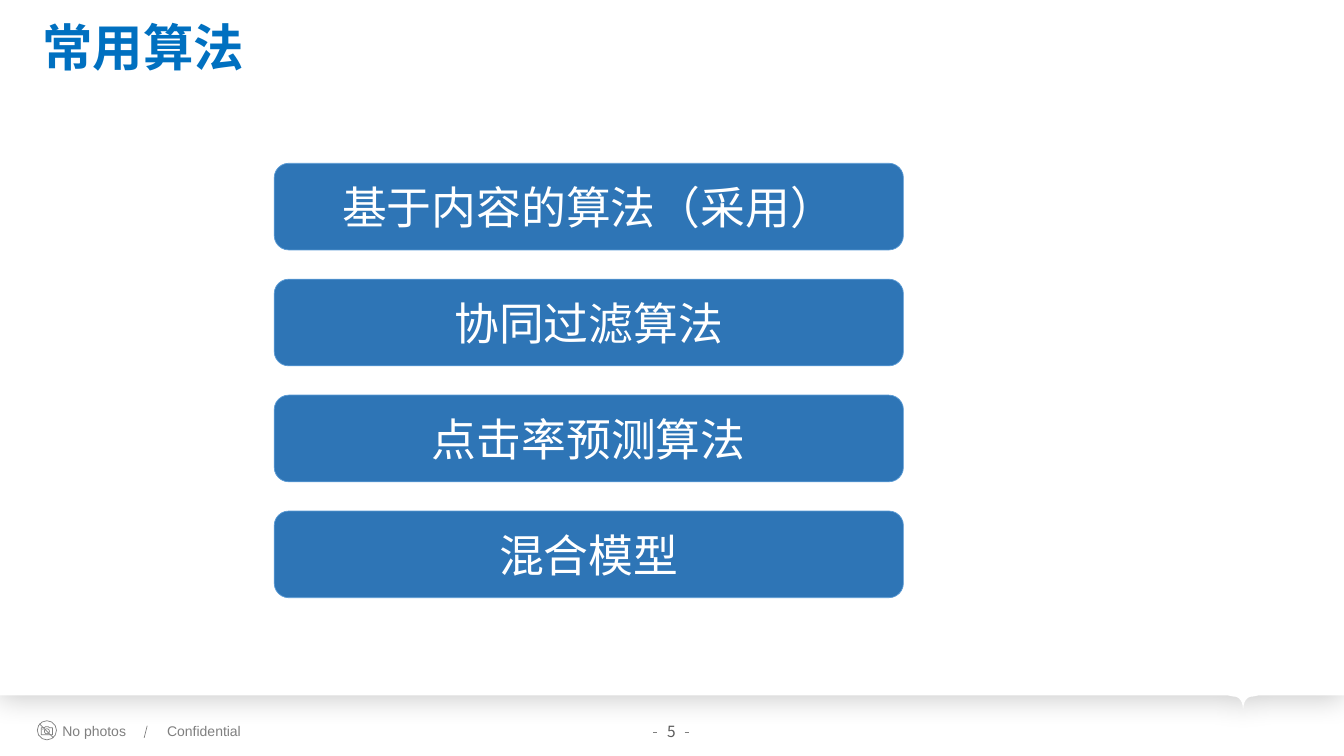
"""Build the slide listing the common recommendation algorithms."""
from lxml import etree
from pptx import Presentation
from pptx.dml.color import RGBColor
from pptx.enum.shapes import MSO_CONNECTOR, MSO_SHAPE
from pptx.enum.text import MSO_ANCHOR, MSO_AUTO_SIZE, PP_ALIGN
from pptx.oxml.ns import qn
from pptx.util import Pt

PX = 9144
CJK_FONT = "Noto Sans CJK SC"
GRAY = "7F7F7F"
STRAIGHT = MSO_CONNECTOR.STRAIGHT
ELLIPSE = MSO_SHAPE.OVAL
BOX = MSO_SHAPE.FLOWCHART_ALTERNATE_PROCESS
LEFT, CENTER = PP_ALIGN.LEFT, PP_ALIGN.CENTER
TOP, MIDDLE = MSO_ANCHOR.TOP, MSO_ANCHOR.MIDDLE
NO_AUTOFIT = MSO_AUTO_SIZE.NONE


def write(shape, text, size, color, font=CJK_FONT, bold=False, align=LEFT,
          anchor=TOP, wrap=True):
    frame = shape.text_frame
    frame.auto_size = NO_AUTOFIT
    frame.word_wrap = wrap
    frame.vertical_anchor = anchor
    paragraph = frame.paragraphs[0]
    paragraph.alignment = align
    run = paragraph.add_run()
    run.text = text
    run.font.size = Pt(size)
    run.font.bold = bold
    run.font.name = font
    run.font.color.rgb = RGBColor.from_string(color)
    east_asian = etree.SubElement(run.font._element, qn("a:ea"))
    east_asian.set("typeface", font)


def paint(shape, fill=None, line=None):
    shape.shadow.inherit = False
    if fill:
        shape.fill.solid()
        shape.fill.fore_color.rgb = RGBColor.from_string(fill)
    else:
        shape.fill.background()
    if line:
        shape.line.color.rgb = RGBColor.from_string(line)
        shape.line.width = Pt(0.5)
    else:
        shape.line.fill.background()


presentation = Presentation()
presentation.slide_width = 1333 * PX
presentation.slide_height = 750 * PX
slide = presentation.slides.add_slide(presentation.slide_layouts[5])
shapes = slide.shapes

steps = [step / 8 for step in range(9)]
right_curve = [(1233 + 10 * (1 - t) ** 2, 691 + 15 * t ** 2) for t in steps]
left_curve = [(2466 - x, y) for x, y in reversed(right_curve)]
panel_points = [(1333, 0), (1333, 690), (1248, 690), *right_curve, *left_curve,
                (1218, 690), (0, 690)]
builder = shapes.build_freeform(0, 0, scale=1.0)
builder.add_line_segments([(x * PX, y * PX) for x, y in panel_points])
panel = builder.convert_to_shape()
paint(panel, fill="FFFFFF")
effects = panel._element.spPr.find(qn("a:effectLst"))
shadow = etree.SubElement(effects, qn("a:outerShdw"), blurRad=str(Pt(20)),
                          dist=str(Pt(3)), dir="5400000", algn="t", rotWithShape="0")
shadow_color = etree.SubElement(shadow, qn("a:srgbClr"), val="000000")
etree.SubElement(shadow_color, qn("a:alpha"), val="20000")

title = shapes.title
panel._element.addnext(title._element)
title.left, title.top, title.width, title.height = 32 * PX, 23 * PX, 473 * PX, 36 * PX
write(title, "常用算法", 36, "0070C0", bold=True)
title.text_frame.margin_top = title.text_frame.margin_bottom = 0
title.text_frame.paragraphs[0].line_spacing = 0.9

camera_builder = shapes.build_freeform(41, 722, scale=PX)
camera_builder.add_line_segments([(44, 722), (45, 721), (48, 721), (49, 722),
                                  (52, 722), (52, 729), (41, 729)])
paint(camera_builder.convert_to_shape(), line=GRAY)

for left, top, size, fill, line in [(37, 715, 19, None, GRAY),
                                    (44, 723, 5, None, GRAY),
                                    (42, 723, 1, GRAY, None)]:
    circle = shapes.add_shape(ELLIPSE, left * PX, top * PX, size * PX, size * PX)
    paint(circle, fill=fill, line=line)

for x1, y1, x2, y2 in [(39, 718, 53, 732), (146, 720, 143, 732),
                       (679, 727, 683, 727), (648, 727, 652, 727)]:
    connector = shapes.add_connector(STRAIGHT, x1 * PX, y1 * PX, x2 * PX, y2 * PX)
    connector.line.color.rgb = RGBColor.from_string(GRAY)
    connector.line.width = Pt(0.5)
    etree.SubElement(connector._element.spPr, qn("a:effectLst"))

for label, left, width in [("No photos", 52, 88), ("Confidential", 156, 94)]:
    footer = shapes.add_textbox(left * PX, 712 * PX, width * PX, 27 * PX)
    write(footer, label, 10, GRAY, font="Arial", wrap=False)

page_number = shapes.add_textbox(632 * PX, 711 * PX, 68 * PX, 29 * PX)
write(page_number, "5", 11, "5A5A5A", align=CENTER)

algorithms = ["基于内容的算法（采用）", "协同过滤算法", "点击率预测算法", "混合模型"]
for row, algorithm in enumerate(algorithms):
    box = shapes.add_shape(BOX, 272 * PX, (162 + 115 * row) * PX, 624 * PX, 86 * PX)
    paint(box, fill="2E75B6", line="5B9BD5")
    write(box, algorithm, 32, "FFFFFF", align=CENTER, anchor=MIDDLE)

presentation.save("out.pptx")
